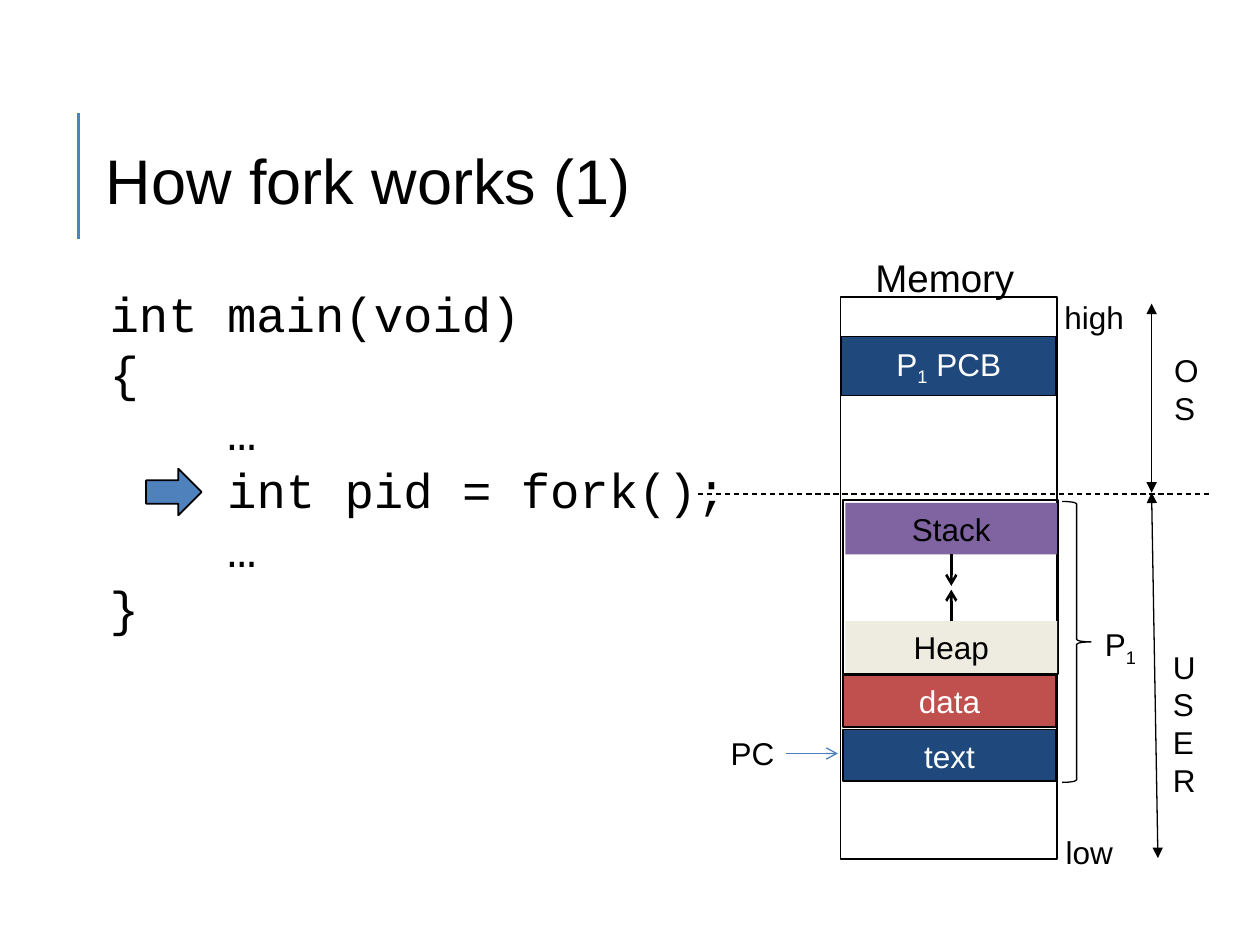
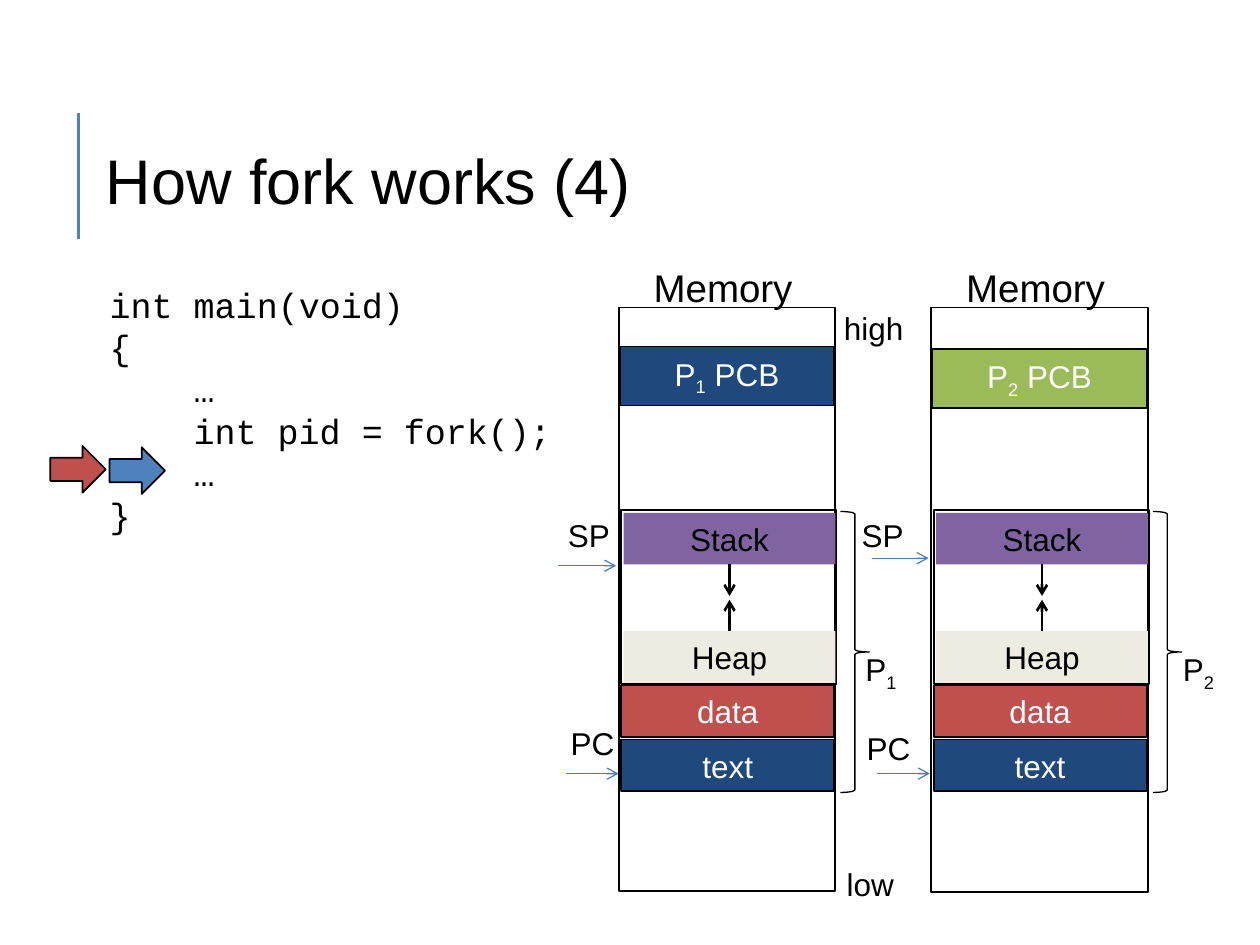
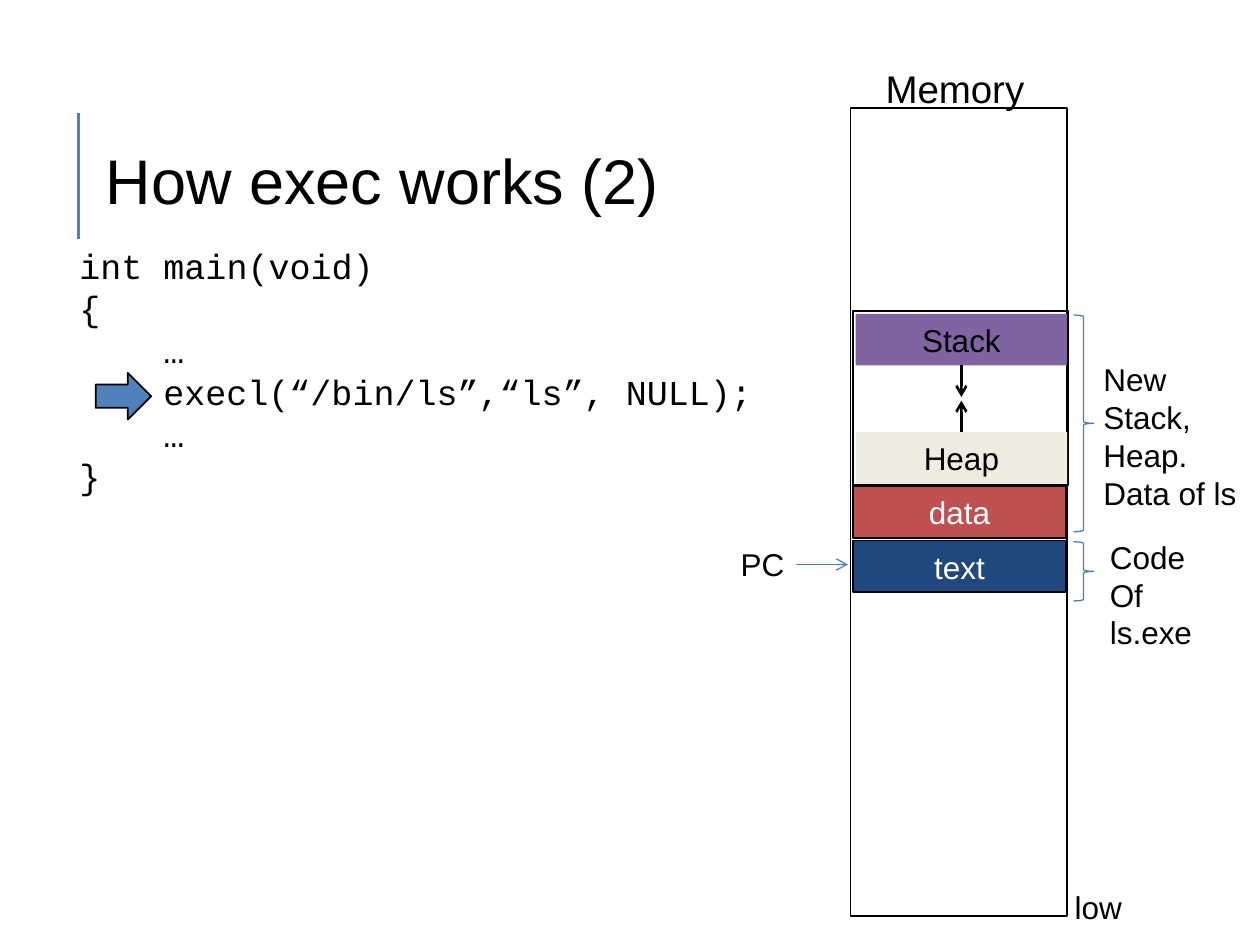
from dataclasses import dataclass
from typing import Optional

from lxml import etree
from pptx import Presentation
from pptx.dml.color import RGBColor
from pptx.enum.dml import MSO_LINE
from pptx.enum.shapes import MSO_CONNECTOR, MSO_SHAPE
from pptx.enum.text import MSO_ANCHOR, PP_ALIGN
from pptx.oxml.ns import qn
from pptx.util import Emu, Inches, Pt

RECTANGLE = MSO_SHAPE.RECTANGLE
RIGHT_ARROW = MSO_SHAPE.RIGHT_ARROW
RIGHT_BRACE = MSO_SHAPE.RIGHT_BRACE
STRAIGHT = MSO_CONNECTOR.STRAIGHT
DASH = MSO_LINE.DASH
TOP, MIDDLE = MSO_ANCHOR.TOP, MSO_ANCHOR.MIDDLE
LEFT, CENTER = PP_ALIGN.LEFT, PP_ALIGN.CENTER
TOP_SIDE, BOTTOM_SIDE, RIGHT_SIDE = 0, 2, 3

BLACK = RGBColor(0x00, 0x00, 0x00)
WHITE = RGBColor(0xFF, 0xFF, 0xFF)
NAVY = RGBColor(0x1F, 0x49, 0x7D)
BLUE = RGBColor(0x4F, 0x81, 0xBD)
POINTER_BLUE = RGBColor(0x4A, 0x7E, 0xBB)
RED = RGBColor(0xC0, 0x50, 0x4D)
GREEN = RGBColor(0x9B, 0xBB, 0x59)
PURPLE = RGBColor(0x80, 0x64, 0xA2)
CREAM = RGBColor(0xEE, 0xEC, 0xE1)

SLIDE_WIDTH, SLIDE_HEIGHT = Inches(10), Inches(7.5)
COLUMNS, ROWS = 100, 75
MONOSPACE_ADVANCE = 0.6
CODE_INDENT = 4


@dataclass(frozen=True)
class Area:
    left: float
    top: float
    width: float
    height: float


@dataclass(frozen=True)
class TextStyle:
    size: float = 18
    color: RGBColor = BLACK
    font: str = "Arial"
    align: PP_ALIGN = LEFT
    anchor: MSO_ANCHOR = TOP
    margins: tuple[float, float] = (1, 0.5)
    wrap: bool = False
    spacing: Optional[float] = None


@dataclass(frozen=True)
class Segment:
    text: str
    area: Area
    fill: RGBColor
    color: RGBColor
    outlined: bool


@dataclass(frozen=True)
class Memory:
    left: float
    top: float
    height: float
    image_top: float
    process: str = ""
    process_left: float = 0
    process_top: float = 0
    block_top: float = 0
    block_fill: RGBColor = NAVY


@dataclass(frozen=True)
class Pointer:
    text: str
    left: float
    top: float
    arrow: tuple[float, float, float]
    joined: bool = False


@dataclass(frozen=True)
class Marker:
    left: float
    top: float
    fill: RGBColor = BLUE


@dataclass(frozen=True)
class Page:
    title: str
    code: tuple[str, ...]
    code_size: float
    code_area: Area
    markers: tuple[Marker, ...]
    memories: tuple[Memory, ...]
    pointers: tuple[Pointer, ...]
    labels: tuple[tuple[str, Area], ...]


LABEL = TextStyle()
HEADING = TextStyle(size=22)
TITLE = TextStyle(size=36, anchor=MIDDLE, margins=(0, 0), wrap=True, spacing=0.9)

IMAGE = Area(0.2, 0, 17.1, 13.8)
IMAGE_MIDDLE = 8.8
SEGMENTS = (
    Segment("text", Area(0.2, 18.2, 16.9, 4.1), NAVY, WHITE, True),
    Segment("data", Area(0.2, 13.9, 16.9, 4.1), RED, WHITE, True),
    Segment("Stack", Area(0.4, 0.2, 16.8, 4.1), PURPLE, BLACK, False),
    Segment("Heap", Area(0.4, 9.6, 16.8, 4.1), CREAM, BLACK, False),
)


def column(value: float) -> Emu:
    return Emu(round(SLIDE_WIDTH * value / COLUMNS))


def row(value: float) -> Emu:
    return Emu(round(SLIDE_HEIGHT * value / ROWS))


def bounds(area: Area) -> tuple[Emu, Emu, Emu, Emu]:
    return column(area.left), row(area.top), column(area.width), row(area.height)


def write(shape, text: str, style: TextStyle) -> None:
    frame = shape.text_frame
    frame.word_wrap = style.wrap
    frame.vertical_anchor = style.anchor
    frame.margin_left = frame.margin_right = column(style.margins[0])
    frame.margin_top = frame.margin_bottom = row(style.margins[1])
    for number, line in enumerate(text.split("\n")):
        paragraph = frame.paragraphs[0] if number == 0 else frame.add_paragraph()
        paragraph.alignment = style.align
        if style.spacing:
            paragraph.line_spacing = style.spacing
        if line.startswith("\t"):
            indent = Pt(style.size * MONOSPACE_ADVANCE * CODE_INDENT)
            paragraph._p.get_or_add_pPr().set("marL", str(indent))
        for position, piece in enumerate(line.lstrip("\t").split("|")):
            if not piece:
                continue
            run = paragraph.add_run()
            run.text = piece
            run.font.name = style.font
            run.font.size = Pt(style.size)
            run.font.color.rgb = style.color
            if position % 2:
                run._r.get_or_add_rPr().set("baseline", "-25000")


def add_text(slide, text: str, area: Area, style: TextStyle = LABEL) -> None:
    write(slide.shapes.add_textbox(*bounds(area)), text, style)


def add_box(slide, area: Area, fill: Optional[RGBColor] = None,
            line: Optional[RGBColor] = BLACK, kind: MSO_SHAPE = RECTANGLE,
            weight: float = 1):
    shape = slide.shapes.add_shape(kind, *bounds(area))
    shape.shadow.inherit = False
    if fill is None:
        shape.fill.background()
    else:
        shape.fill.solid()
        shape.fill.fore_color.rgb = fill
    if line is None:
        shape.line.fill.background()
    else:
        shape.line.color.rgb = line
        shape.line.width = Pt(weight)
    return shape


def add_line(slide, start: tuple[float, float], end: tuple[float, float],
             color: RGBColor = BLACK, weight: float = 0.75,
             head: str = "", tail: str = "", dashed: bool = False):
    connector = slide.shapes.add_connector(
        STRAIGHT, column(start[0]), row(start[1]), column(end[0]), row(end[1]))
    connector.line.color.rgb = color
    connector.line.width = Pt(weight)
    if dashed:
        connector.line.dash_style = DASH
    outline = connector.line._get_or_add_ln()
    for tag, kind in (("a:headEnd", head), ("a:tailEnd", tail)):
        if kind:
            etree.SubElement(outline, qn(tag)).set("type", kind)
    etree.SubElement(connector._element.spPr, qn("a:effectLst"))
    return connector


def draw_pointer(slide, pointer: Pointer) -> None:
    box = add_box(slide, Area(pointer.left, pointer.top, 5.4, 4), WHITE, None)
    write(box, pointer.text, LABEL)
    start, end, level = pointer.arrow
    arrow = add_line(slide, (start, level), (end, level), POINTER_BLUE, tail="arrow")
    if pointer.joined:
        arrow.begin_connect(box, RIGHT_SIDE)


def draw_memory(slide, memory: Memory) -> None:
    left, top = memory.left, memory.image_top
    add_box(slide, Area(left, memory.top, 17.2, memory.height))
    add_text(slide, "Memory", Area(left + 1.8, memory.top - 3.9, 13, 4.7), HEADING)
    add_box(slide, Area(left + IMAGE.left, top, IMAGE.width, IMAGE.height))
    boxes = {}
    for segment in SEGMENTS:
        area = segment.area
        box = add_box(slide, Area(left + area.left, top + area.top, area.width, area.height),
                      segment.fill, BLACK if segment.outlined else None)
        write(box, segment.text, TextStyle(color=segment.color, align=CENTER, anchor=MIDDLE, wrap=True))
        boxes[segment.text] = box
    middle = left + IMAGE_MIDDLE
    for name, side, start, end in (("Stack", BOTTOM_SIDE, 4.3, 6.8), ("Heap", TOP_SIDE, 9.6, 7.1)):
        arrow = add_line(slide, (middle, top + start), (middle, top + end), weight=1.5, tail="arrow")
        arrow.begin_connect(boxes[name], side)
    if memory.process:
        add_box(slide, Area(left + 17.6, top + 0.1, 2.3, 22.3), kind=RIGHT_BRACE, weight=0.75)
        add_text(slide, memory.process, Area(memory.process_left, memory.process_top, 5, 4.4))
        block = add_box(slide, Area(left + 0.1, memory.block_top, 17, 4.7), memory.block_fill)
        write(block, f"{memory.process} PCB",
              TextStyle(color=WHITE, align=CENTER, anchor=MIDDLE, wrap=True))


def draw_page(presentation, page: Page):
    slide = presentation.slides.add_slide(presentation.slide_layouts[6])
    add_line(slide, (6.25, 19), (6.25, 9), BLUE, 1.5)
    add_text(slide, page.title, Area(8.4, 6.4, 79.7, 16.4), TITLE)
    add_text(slide, "\n".join(page.code), page.code_area,
             TextStyle(size=page.code_size, font="Courier New", margins=(0.5, 0.5), wrap=True))
    for pointer in page.pointers:
        draw_pointer(slide, pointer)
    for memory in page.memories:
        draw_memory(slide, memory)
    for text, area in page.labels:
        add_text(slide, text, area)
    for marker in page.markers:
        add_box(slide, Area(marker.left, marker.top, 4.4, 3.7), marker.fill, kind=RIGHT_ARROW)
    return slide


def draw_address_spaces(slide) -> None:
    add_line(slide, (55.4, 39.2), (96, 39.2), dashed=True)
    for start, end in (((91.4, 24.1), (91.4, 39.1)), ((91.4, 39.1), (91.9, 68.1))):
        add_line(slide, start, end, head="triangle", tail="triangle")


def draw_new_image_braces(slide) -> None:
    for top, height in ((25, 17.2), (43, 4.7)):
        add_box(slide, Area(85.2, top, 1.6, height), line=POINTER_BLUE,
                kind=RIGHT_BRACE, weight=0.75)


def program(call: str) -> tuple[str, ...]:
    return "int main(void)", "{", "\t…", f"\t{call}", "\t…", "}"


FORK_CODE = program("int pid = fork();")
FORK_AREA = Area(8.2, 22, 50.5, 40.7)

FORK_START = Page(
    "How fork works (1)", FORK_CODE, 28, FORK_AREA,
    markers=(Marker(11.6, 37.2),),
    memories=(Memory(66.7, 23.6, 44.6, 39.7, "P|1|", 86.7, 49.1, 26.7),),
    pointers=(Pointer("PC", 57, 57.8, (62.4, 66.5, 59.8), True),),
    labels=(
        ("high", Area(83.5, 23.2, 7, 4)),
        ("low", Area(83.6, 65.6, 6.5, 4)),
        ("U\nS\nE\nR", Area(92.1, 50.9, 3.8, 13)),
        ("O\nS", Area(92.2, 27.4, 3.9, 7)),
    ),
)
FORK_DONE = Page(
    "How fork works (4)", FORK_CODE, 20, FORK_AREA,
    markers=(Marker(8.7, 35.5), Marker(4, 35.4, RED)),
    memories=(
        Memory(49.1, 24.4, 46.3, 40.5, "P|1|", 67.7, 51.1, 27.5),
        Memory(73.9, 24.4, 46.4, 40.5, "P|2|", 92.9, 51.1, 27.7, GREEN),
    ),
    pointers=(
        Pointer("PC", 44.3, 57, (44.9, 49.1, 61.4)),
        Pointer("PC", 67.8, 57.4, (69.6, 73.8, 61.4)),
        Pointer("SP", 44.1, 40.5, (44.3, 48.9, 44.9)),
        Pointer("SP", 67.4, 40.5, (69.2, 73.7, 44.3)),
    ),
    labels=(
        ("high", Area(66, 24, 7, 4)),
        ("low", Area(66.2, 68.2, 6.5, 4)),
    ),
)
EXEC_DONE = Page(
    "How exec works (2)", program("execl(“/bin/ls”,“ls”, NULL);"), 20,
    Area(5.8, 18.9, 81.8, 24.3),
    markers=(Marker(7.6, 29.6),),
    memories=(Memory(67.5, 8.6, 64.1, 24.7),),
    pointers=(Pointer("PC", 57.8, 42.8, (63.2, 67.3, 44.8), True),),
    labels=(
        ("low", Area(84.3, 70, 6.5, 4)),
        ("Code\nOf\nls.exe", Area(87.1, 42.2, 9, 10)),
        ("New\nStack,\nHeap.\nData of ls", Area(86.6, 28.1, 13.3, 13)),
    ),
)


def main() -> None:
    presentation = Presentation()
    presentation.slide_width = SLIDE_WIDTH
    presentation.slide_height = SLIDE_HEIGHT
    draw_address_spaces(draw_page(presentation, FORK_START))
    draw_page(presentation, FORK_DONE)
    draw_new_image_braces(draw_page(presentation, EXEC_DONE))
    presentation.save("out.pptx")


if __name__ == "__main__":
    main()
